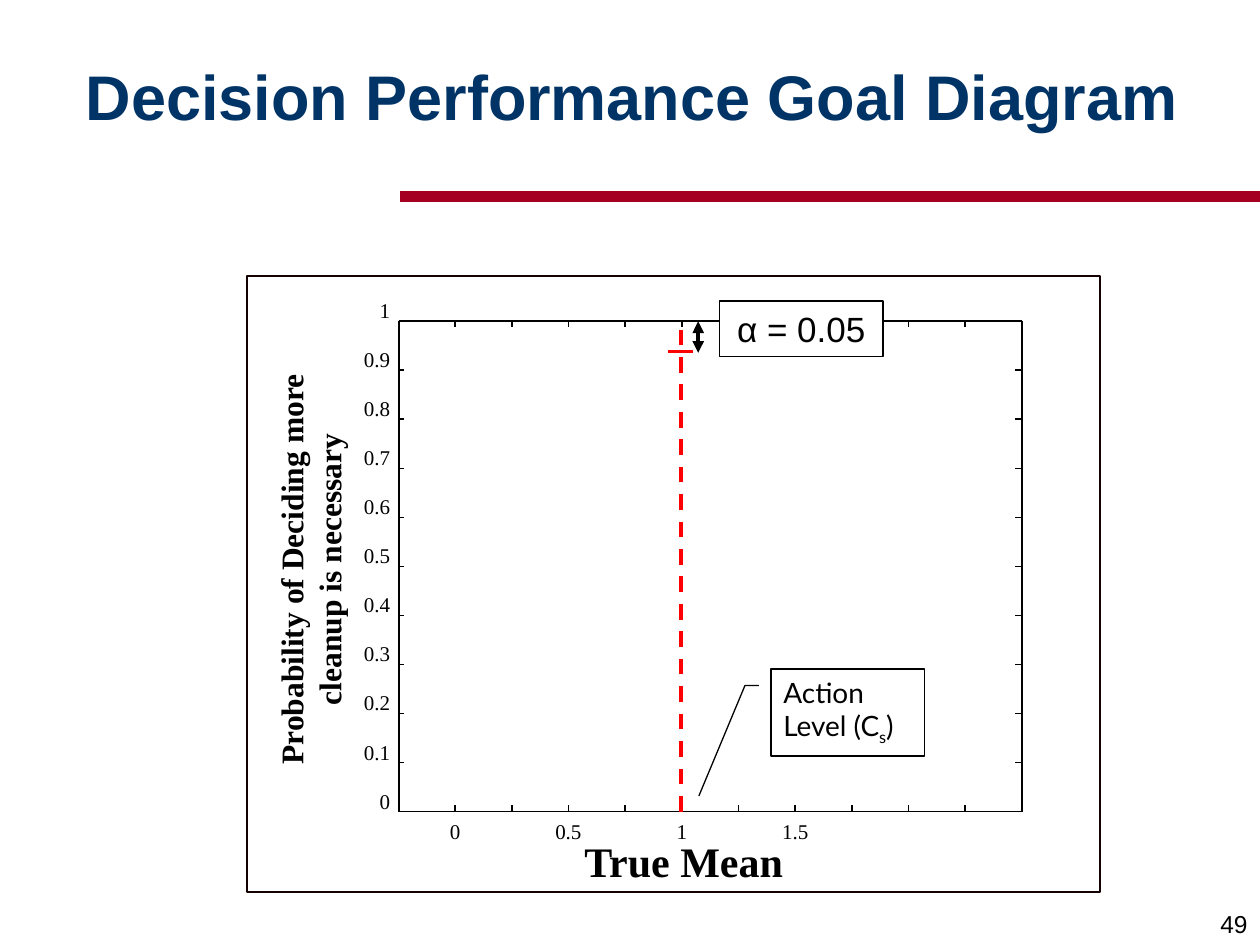
import pptx
import pptx.dml.color
import pptx.enum.dml
import pptx.enum.shapes
import pptx.enum.text
import pptx.oxml
import pptx.oxml.ns
import pptx.util
from lxml import etree

Pt = pptx.util.Pt
RGBColor = pptx.dml.color.RGBColor
ALIGN = pptx.enum.text.PP_ALIGN
ANCHOR = pptx.enum.text.MSO_ANCHOR
SHAPE = pptx.enum.shapes.MSO_SHAPE

BLACK = RGBColor(0x00, 0x00, 0x00)
FRAME = RGBColor(0x14, 0x00, 0x00)
WHITE = RGBColor(0xFF, 0xFF, 0xFF)
NAVY = RGBColor(0x00, 0x33, 0x66)
CRIMSON = RGBColor(0xA5, 0x00, 0x21)
RED = RGBColor(0xFF, 0x00, 0x00)

TITLE = "Decision Performance Goal Diagram"
PROBABILITY_AXIS = ["Probability of Deciding more", "cleanup is necessary"]
MEAN_AXIS = ["True Mean"]
PROBABILITIES = ["0", "0.1", "0.2", "0.3", "0.4", "0.5", "0.6", "0.7", "0.8", "0.9", "1"]
MEANS = ["0", "0.5", "1", "1.5"]
ALPHA = ["α = 0.05"]
ACTION_LEVEL = ["Action", [("Level (C", 0), ("s", -25000), (")", 0)]]
PAGE = ["49"]

TITLE_FONT = {"name": "Arial", "size": Pt(36), "bold": True}
TICK_FONT = {"name": "Times New Roman", "size": Pt(12)}
MEAN_FONT = {"name": "Times New Roman", "size": Pt(24), "bold": True}
PROBABILITY_FONT = {"name": "Times New Roman", "size": Pt(18), "bold": True}
ALPHA_FONT = {"name": "Arial", "size": Pt(20)}
ACTION_FONT = {"name": "Lato", "size": Pt(16)}
PAGE_FONT = {"name": "Arial", "size": Pt(14)}

LEFT, TOP, RIGHT, BOTTOM = 227.8, 183.6, 584, 463.8
FIRST_MEAN, MEAN_STEP, MEAN_TICKS = 260, 32.4, 10
COVERED_TOP_TICKS = (5, 6, 7)
ACTION_X = 389
PROBABILITY_STEP = (BOTTOM - TOP) / (len(PROBABILITIES) - 1)
LABEL_WIDTH, LABEL_HEIGHT = 40, 21.6

deck = pptx.Presentation()
deck.slide_width, deck.slide_height = Pt(720), Pt(540)
slide = deck.slides.add_slide(deck.slide_layouts[5])


def add_line(x1, y1, x2, y2, color=BLACK, width=1, dash=None, arrows=False):
    line = slide.shapes.add_connector(
        pptx.enum.shapes.MSO_CONNECTOR.STRAIGHT, Pt(x1), Pt(y1), Pt(x2), Pt(y2))
    line.line.color.rgb = color
    line.line.width = Pt(width)
    if dash:
        line.line.dash_style = dash
    if arrows:
        outline = line.line._get_or_add_ln()
        for end in ("a:headEnd", "a:tailEnd"):
            etree.SubElement(outline, pptx.oxml.ns.qn(end), type="triangle")
    etree.SubElement(line._element.spPr, pptx.oxml.ns.qn("a:effectLst"))


def write(frame, paragraphs, font, color=BLACK, align=ALIGN.CENTER,
          anchor=ANCHOR.TOP, wrap=True):
    layout = {"word_wrap": wrap, "vertical_anchor": anchor,
              "auto_size": pptx.enum.text.MSO_AUTO_SIZE.NONE}
    for key, value in layout.items():
        setattr(frame, key, value)
    for index, content in enumerate(paragraphs):
        paragraph = frame.add_paragraph() if index else frame.paragraphs[0]
        paragraph.alignment = align
        for text, baseline in [(content, 0)] if isinstance(content, str) else content:
            run = paragraph.add_run()
            run.text = text
            for key, value in font.items():
                setattr(run.font, key, value)
            run.font.color.rgb = color
            if baseline:
                run._r.get_or_add_rPr().set("baseline", str(baseline))


def add_text(x, y, width, height, paragraphs, font, **options):
    label = slide.shapes.add_textbox(Pt(x), Pt(y), Pt(width), Pt(height))
    write(label.text_frame, paragraphs, font, **options)
    return label


def add_box(kind, x, y, width, height, color=BLACK, line_width=0.75, fill=WHITE):
    box = slide.shapes.add_shape(kind, Pt(x), Pt(y), Pt(width), Pt(height))
    box.shadow.inherit = False
    if fill is None:
        box.fill.background()
    else:
        box.fill.solid()
        box.fill.fore_color.rgb = fill
    box.line.color.rgb = color
    box.line.width = Pt(line_width)
    return box


title = slide.shapes.title
for side, length in {"left": 41.8, "top": 12.2, "width": 642.2, "height": 90}.items():
    setattr(title, side, Pt(length))
write(title.text_frame, [TITLE], TITLE_FONT, NAVY, ALIGN.LEFT, ANCHOR.MIDDLE)
title.text_frame.paragraphs[0].line_spacing = 0.9
add_line(228.5, 112.3, 720, 112.3, CRIMSON, 6)

add_box(SHAPE.RECTANGLE, 141.1, 157.7, 487.4, 352.1, FRAME, 1, None)

for y in (TOP, BOTTOM):
    add_line(LEFT, y, RIGHT, y)
for x in (LEFT, RIGHT):
    add_line(x, TOP, x, BOTTOM)

for index in range(MEAN_TICKS):
    x = FIRST_MEAN + index * MEAN_STEP
    add_line(x, BOTTOM, x, BOTTOM - 4)
    if index not in COVERED_TOP_TICKS:
        add_line(x, TOP, x, TOP + 3)

for index, mean in enumerate(MEANS):
    x = FIRST_MEAN + 2 * index * MEAN_STEP
    add_text(x - LABEL_WIDTH / 2, 464.4, LABEL_WIDTH, LABEL_HEIGHT, [mean], TICK_FONT)

for index, probability in enumerate(PROBABILITIES):
    y = BOTTOM - index * PROBABILITY_STEP
    add_line(LEFT, y, LEFT + 3, y)
    add_line(RIGHT, y, RIGHT - 4, y)
    add_text(230 - LABEL_WIDTH, y - 17, LABEL_WIDTH, LABEL_HEIGHT, [probability],
             TICK_FONT, align=ALIGN.RIGHT)

add_text(326.2, 473.8, 128.9, 36, MEAN_AXIS, MEAN_FONT, wrap=False)
probability_title = add_text(58.3, 300.2, 237.6, 50.4, PROBABILITY_AXIS,
                             PROBABILITY_FONT, wrap=False)
probability_title.rotation = 270

add_line(ACTION_X, BOTTOM, ACTION_X, TOP, RED, 2.25,
         pptx.enum.dml.MSO_LINE.DASH)
alpha = add_box(SHAPE.RECTANGLE, 411.1, 172.1, 93.6, 31.7)
write(alpha.text_frame, ALPHA, ALPHA_FONT, wrap=False)
add_line(399, TOP, 399, 201.6, width=2.25, arrows=True)
add_line(381.6, 200.9, 396, 200.9, RED, 1.5)

action = add_box(SHAPE.LINE_CALLOUT_2, 440.6, 382.3, 87.8, 49.7)
for index, ratio in enumerate((0.19, -0.08, 0.19, -0.17, 1.46, -0.47)):
    action.adjustments[index] = ratio
write(action.text_frame, ACTION_LEVEL, ACTION_FONT, align=ALIGN.LEFT)

add_text(570.2, 504, 149.8, 36, PAGE, PAGE_FONT, align=ALIGN.RIGHT, anchor=ANCHOR.BOTTOM)

deck.save("out.pptx")
